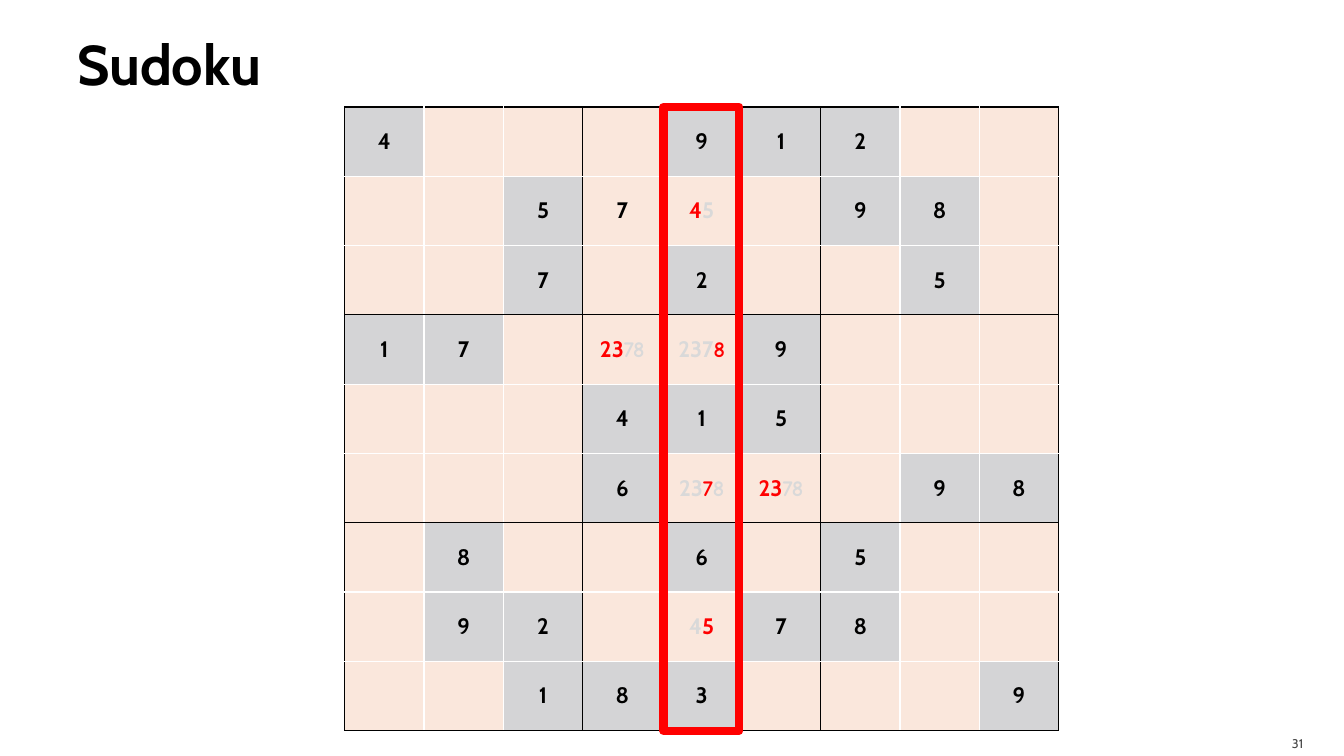
from lxml import etree
from pptx import Presentation
from pptx.dml.color import RGBColor
from pptx.enum.shapes import MSO_SHAPE
from pptx.enum.text import MSO_ANCHOR, PP_ALIGN
from pptx.oxml.ns import qn
from pptx.util import Pt

RECTANGLE = MSO_SHAPE.RECTANGLE
MIDDLE = MSO_ANCHOR.MIDDLE
LEFT, CENTER, RIGHT = PP_ALIGN.LEFT, PP_ALIGN.CENTER, PP_ALIGN.RIGHT

COLORS = {
    "black": "000000", "white": "FFFFFF", "number": "454545", "given": "D4D4D6",
    "open": "FAE7DC", "red": "FF0000", "faded": "D9D9D9",
}
MAIN_FONT, NOTE_FONT = "Cabin", "Comic Neue"
SIZE, BOX = 9, 3
GIVENS = [
    "4...912..",
    "..5...98.",
    "..7.2..5.",
    "17...9...",
    "...415...",
    "...6...98",
    ".8..6.5..",
    ".92..78..",
    "..183...9",
]
TWO_THREE = [("23", "red", MAIN_FONT), ("78", "faded", NOTE_FONT)]
CANDIDATES = {
    (1, 3): [("7", "black", MAIN_FONT)],
    (1, 4): [("4", "red", MAIN_FONT), ("5", "faded", MAIN_FONT)],
    (3, 3): TWO_THREE,
    (3, 4): [("237", "faded", MAIN_FONT), ("8", "red", NOTE_FONT)],
    (5, 4): [("23", "faded", MAIN_FONT), ("7", "red", NOTE_FONT), ("8", "faded", NOTE_FONT)],
    (5, 5): TWO_THREE,
    (7, 4): [("4", "faded", MAIN_FONT), ("5", "red", MAIN_FONT)],
}


class SudokuSlide:
    """Holds the style and the current slide, and draws each kind of element."""

    def __init__(self, presentation):
        self.slide = presentation.slides.add_slide(presentation.slide_layouts[6])

    def color(self, name):
        return RGBColor.from_string(COLORS[name])

    def style(self, font, size, color, bold):
        font.name, font.size, font.bold = MAIN_FONT, Pt(size), bold
        font.color.rgb = self.color(color)

    def text(self, text, box, margins, size, color, bold, align):
        shape = self.slide.shapes.add_textbox(*map(Pt, box))
        frame = shape.text_frame
        frame.word_wrap = True
        frame.vertical_anchor = MIDDLE
        (frame.margin_left, frame.margin_top,
         frame.margin_right, frame.margin_bottom) = map(Pt, margins)
        paragraph = frame.paragraphs[0]
        paragraph.text, paragraph.alignment = text, align
        self.style(paragraph.font, size, color, bold)

    def borders(self, cell, row, column):
        edges = {
            "lnL": column % BOX == 0,
            "lnR": column % BOX == BOX - 1,
            "lnT": row % BOX == 0,
            "lnB": row % BOX == BOX - 1,
        }
        properties = cell._tc.get_or_add_tcPr()
        for tag, is_box_edge in edges.items():
            line = etree.SubElement(properties, qn(f"a:{tag}"), w=str(Pt(1)))
            fill = etree.SubElement(line, qn("a:solidFill"))
            color = COLORS["black" if is_box_edge else "white"]
            etree.SubElement(fill, qn("a:srgbClr"), val=color)

    def cell(self, cell, row, column):
        given = GIVENS[row][column]
        is_given = given != "."
        self.borders(cell, row, column)
        cell.fill.solid()
        cell.fill.fore_color.rgb = self.color("given" if is_given else "open")
        cell.vertical_anchor = MIDDLE
        paragraph = cell.text_frame.paragraphs[0]
        paragraph.alignment = CENTER
        self.style(paragraph.font, 16, "black", True)
        if is_given:
            paragraph.text = given
        for digits, color, font in CANDIDATES.get((row, column), []):
            run = paragraph.add_run()
            run.text, run.font.name = digits, font
            run.font.color.rgb = self.color(color)

    def grid(self, left, top, width, height):
        frame = self.slide.shapes.add_table(SIZE, SIZE, Pt(left), Pt(top), Pt(width), Pt(height))
        table = frame.table
        table.first_row = table.horz_banding = False
        for index in range(SIZE):
            table.columns[index].width = Pt(width / SIZE)
            table.rows[index].height = Pt(height / SIZE)
        for row in range(SIZE):
            for column in range(SIZE):
                self.cell(table.cell(row, column), row, column)

    def outline(self, left, top, width, height):
        shape = self.slide.shapes.add_shape(RECTANGLE, Pt(left), Pt(top), Pt(width), Pt(height))
        shape.shadow.inherit = False
        shape.fill.background()
        shape.line.color.rgb = self.color("red")
        shape.line.width = Pt(6)


def main():
    presentation = Presentation()
    presentation.slide_width, presentation.slide_height = Pt(960), Pt(540)
    sudoku = SudokuSlide(presentation)
    sudoku.text("Sudoku", (48, 6, 864, 78), (7.2, 3.6, 3.6, 3.6), 40, "black", True, LEFT)
    sudoku.text("31", (861, 518.4, 77, 21.6), (7.2, 3.6, 7.2, 0), 9, "number", False, RIGHT)
    sudoku.grid(246.2, 76.4, 510, 445.6)
    sudoku.outline(474, 76.4, 54, 445.6)
    presentation.save("out.pptx")


if __name__ == "__main__":
    main()
